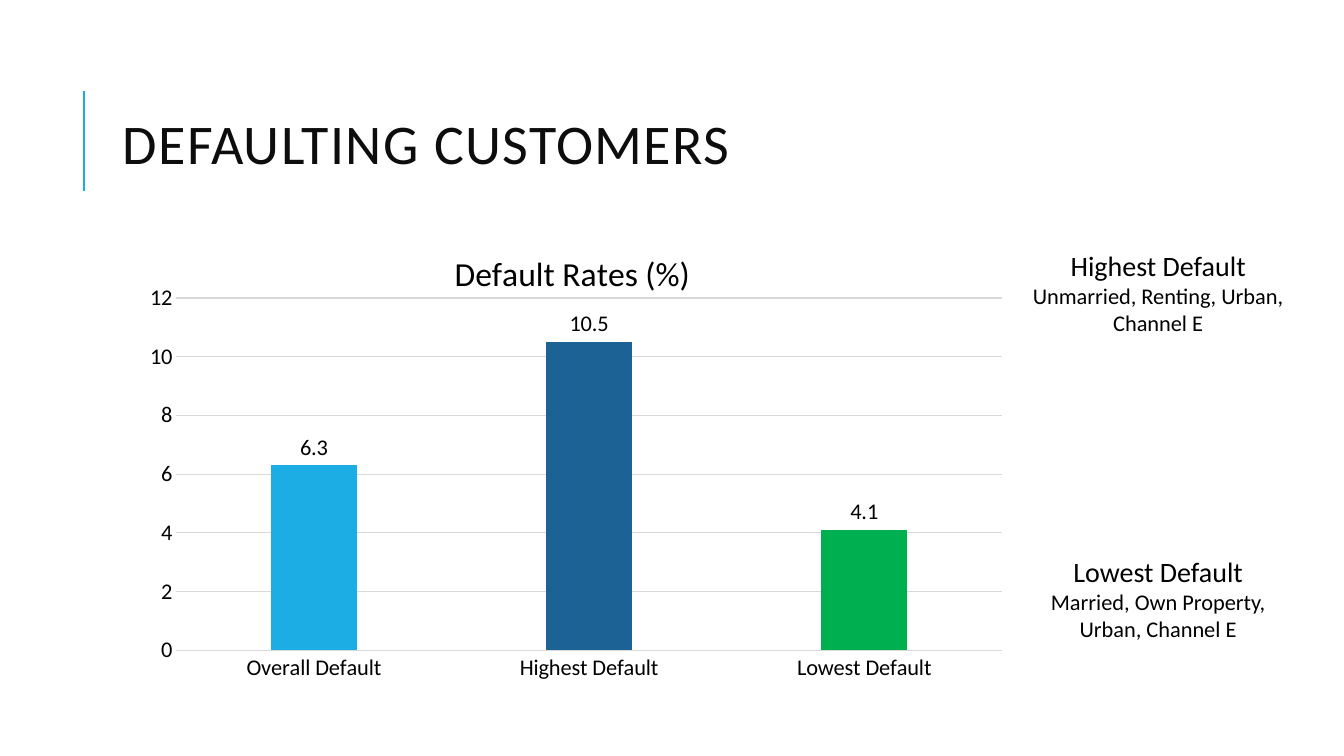
from lxml.etree import SubElement as Sub
from pptx import Presentation as Deck
from pptx.chart.data import CategoryChartData as Data
from pptx.dml.color import RGBColor as Rgb
from pptx.enum.chart import XL_CHART_TYPE as Kind, XL_LABEL_POSITION as Spot, XL_TICK_MARK as Tick
from pptx.enum.shapes import MSO_CONNECTOR as Link
from pptx.enum.text import MSO_ANCHOR as Anchor, PP_ALIGN as Align
from pptx.oxml import parse_xml
from pptx.oxml.ns import nsdecls, qn
from pptx.util import Inches, Pt

HUES = {"sky": "1CADE4", "navy": "1D6294", "green": "00B050",
        "ink": "0D0D0D", "black": "000000", "grid": "D9D9D9"}
RATES = {"Overall Default": (6.3, "sky"),
         "Highest Default": (10.5, "navy"),
         "Lowest Default": (4.1, "green")}
GROUPS = [("Highest Default", "Unmarried, Renting, Urban, Channel E", 0),
          ("Lowest Default", "Married, Own Property, Urban, Channel E", 156)]


class Page:
    face = "Calibri"
    head, title, sub, body = 40, 24, 20, 16

    def __init__(self, deck):
        self.wide, self.high = deck.slide_width, deck.slide_height
        self.slide = deck.slides.add_slide(deck.slide_layouts[6])

    def area(self, *shares):
        sides = (self.wide, self.high) * 2
        return [int(side * share / 100) for side, share in zip(sides, shares)]

    def hue(self, name):
        return Rgb.from_string(HUES[name])

    def font(self, font, size, hue="black"):
        font.name, font.size, font.bold = self.face, Pt(size), False
        font.color.rgb = self.hue(hue)

    def stroke(self, line, hue, width):
        line.color.rgb = self.hue(hue)
        line.width = Pt(width)

    def rule(self, *ends):
        line = self.slide.shapes.add_connector(Link.STRAIGHT, *self.area(*ends))
        self.stroke(line.line, "sky", 1.5)
        Sub(line._element.spPr, qn("a:effectLst"))

    def box(self, *shares):
        frame = self.slide.shapes.add_textbox(*self.area(*shares)).text_frame
        frame.word_wrap = True
        return frame

    def heading(self, text, *shares):
        frame = self.box(*shares)
        frame.text = text
        frame.vertical_anchor = Anchor.MIDDLE
        para = frame.paragraphs[0]
        para.line_spacing = 0.8
        run = para.runs[0]
        self.font(run.font, self.head, "ink")
        run.font._element.set("spc", "100")

    def notes(self, groups, *shares):
        frame = self.box(*shares)
        frame.text = "\n".join(text for group in groups for text in group[:2])
        for para in frame.paragraphs:
            para.alignment = Align.CENTER
        heads, lines = frame.paragraphs[::2], frame.paragraphs[1::2]
        for group, head, line in zip(groups, heads, lines):
            head.space_before = Pt(group[2])
            self.font(head.runs[0].font, self.sub)
            self.font(line.runs[0].font, self.body)

    def place(self, owner, inner=False, **shares):
        layout = owner.find(qn("c:layout"))
        if layout is None:
            layout = parse_xml(f"<c:layout {nsdecls('c')}/>")
            tx = owner.find(qn("c:tx"))
            owner.insert(0 if tx is None else 1, layout)
        manual = Sub(layout, qn("c:manualLayout"))
        parts = {"layoutTarget": "inner"} if inner else {}
        parts.update(xMode="edge", yMode="edge", **shares)
        for tag, value in parts.items():
            Sub(manual, qn("c:" + tag)).set("val", str(value))

    def bars(self, title, rates, *shares):
        data = Data()
        data.categories = list(rates)
        data.add_series("Series 1", [rate for rate, _ in rates.values()])
        chart = self.slide.shapes.add_chart(
            Kind.COLUMN_CLUSTERED, *self.area(*shares), data).chart
        self.font(chart.font, self.body)
        chart.has_legend = False
        chart.has_title = True
        frame = chart.chart_title.text_frame
        frame.text = title
        self.font(frame.paragraphs[0].runs[0].font, self.title)
        chart.chart_title.include_in_layout = False
        self.place(chart.chart_title._element, x=0.37, y=0.05)
        area = chart._chartSpace.chart.plotArea
        self.place(area, True, x=0.07, y=0.16, w=0.91, h=0.73)
        for axis in (chart.category_axis, chart.value_axis):
            axis.major_tick_mark = axis.minor_tick_mark = Tick.NONE
            self.font(axis.tick_labels.font, self.body)
        self.stroke(chart.category_axis.format.line, "grid", 0.75)
        scale = chart.value_axis
        scale.minimum_scale, scale.maximum_scale, scale.major_unit = 0, 12, 2
        scale.format.line.fill.background()
        self.stroke(scale.major_gridlines.format.line, "grid", 0.75)
        plot = chart.plots[0]
        plot.gap_width, plot.overlap, plot.vary_by_categories = 219, -27, False
        plot.has_data_labels = True
        labels = plot.data_labels
        labels.show_value, labels.position = True, Spot.OUTSIDE_END
        self.font(labels.font, self.body)
        for spot, (_, hue) in enumerate(rates.values()):
            fill = plot.series[0].points[spot].format.fill
            fill.solid()
            fill.fore_color.rgb = self.hue(hue)


def main():
    deck = Deck()
    deck.slide_width, deck.slide_height = Inches(13.33), Inches(7.5)
    page = Page(deck)
    page.rule(6.25, 25.33, 6.25, 12)
    page.heading("DEFAULTING CUSTOMERS", 8.4, 6.93, 83.4, 25.33)
    page.notes(GROUPS, 75.9, 32.27, 20.55, 56.93)
    page.bars("Default Rates (%)", RATES, 8.4, 29.2, 67.5, 63.87)
    deck.save("out.pptx")


if __name__ == "__main__":
    main()
